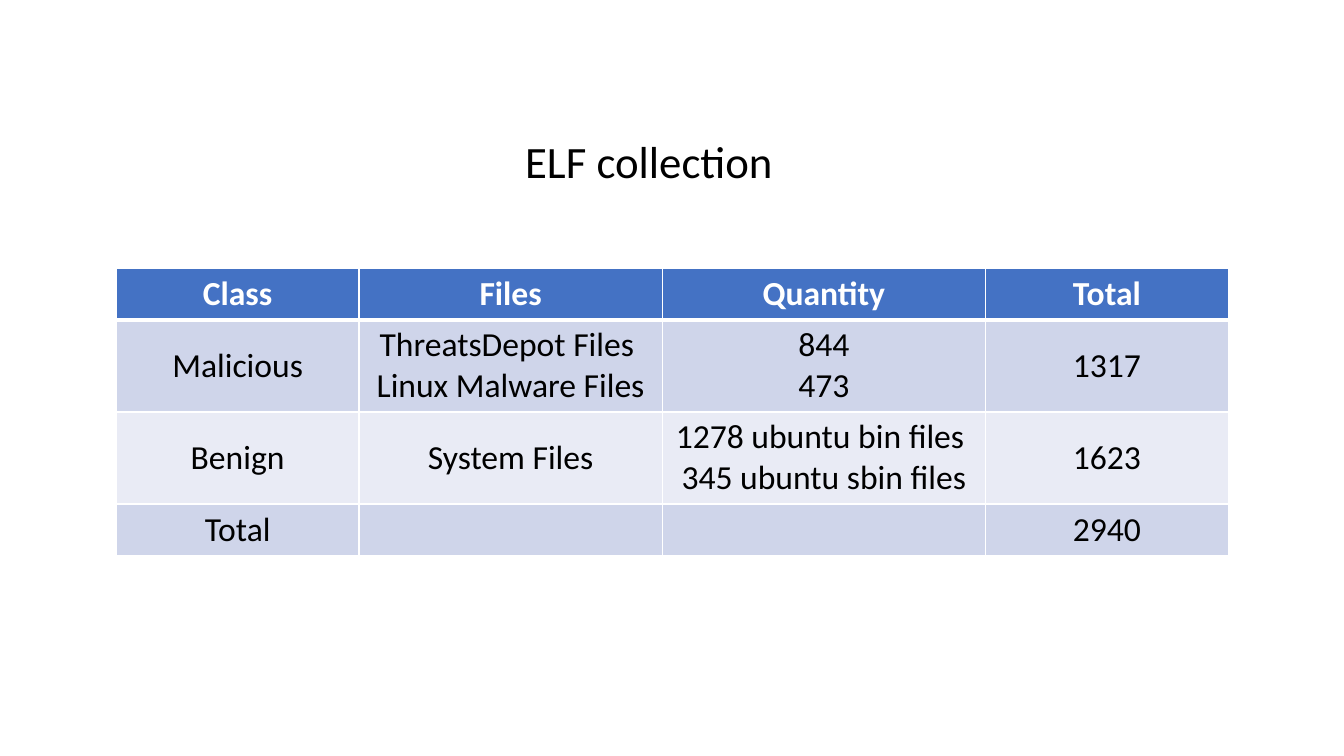
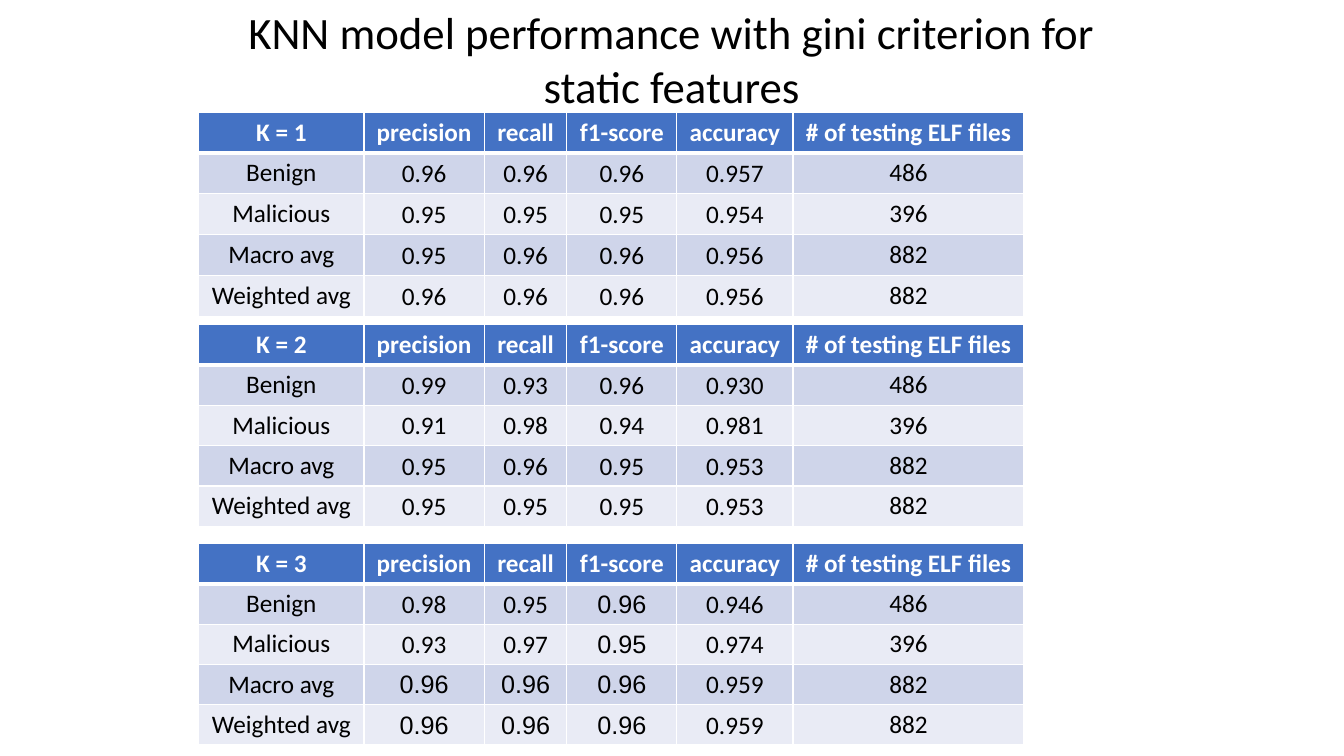
from lxml.etree import SubElement
from pptx import Presentation
from pptx.dml.color import RGBColor
from pptx.enum.text import MSO_ANCHOR, MSO_AUTO_SIZE, PP_ALIGN
from pptx.oxml.ns import qn
from pptx.util import Pt

HEADER_FILL = "4472C4"
BAND_FILLS = ("CFD5EA", "E9EBF5")
WHITE, BLACK = "FFFFFF", "000000"
FONT, SCORE_FONT = "Calibri", "Arial"
TITLE_SIZE = 32

COLLECTION_TITLE = "ELF collection"
COLLECTION = [
    ("Class", "Files", "Quantity", "Total"),
    ("Malicious", "ThreatsDepot Files \nLinux Malware Files", "844\n473", "1317"),
    ("Benign", "System Files", "1278 ubuntu bin files \n345 ubuntu sbin files", "1623"),
    ("Total", "", "", "2940"),
]
COLLECTION_WIDTHS = (173.5, 216.5, 231, 173.5)
COLLECTION_HEIGHTS = (36.5, 65.8, 65.8, 36.5)

KNN_TITLE = "KNN model performance with gini criterion for static features"
METRICS = ("precision", "recall", "f1-score", "accuracy", "# of testing ELF files")
CLASSES = (("Benign", "486"), ("Malicious", "396"),
           ("Macro avg", "882"), ("Weighted avg", "882"))
# Heading, top, row height and the four scores of each class
KNN_RUNS = [
    ("K = 1", 80, 29.2, [("0.96", "0.96", "0.96", "0.957"),
                         ("0.95", "0.95", "0.95", "0.954"),
                         ("0.95", "0.96", "0.96", "0.956"),
                         ("0.96", "0.96", "0.96", "0.956")]),
    ("K = 2", 232, 28.8, [("0.99", "0.93", "0.96", "0.930"),
                          ("0.91", "0.98", "0.94", "0.981"),
                          ("0.95", "0.96", "0.95", "0.953"),
                          ("0.95", "0.95", "0.95", "0.953")]),
    ("K = 3", 388.2, 28.8, [("0.98", "0.95", "0.96", "0.946"),
                            ("0.93", "0.97", "0.95", "0.974"),
                            ("0.96", "0.96", "0.96", "0.959"),
                            ("0.96", "0.96", "0.96", "0.959")]),
]
KNN_WIDTHS = (118, 86, 59, 78.5, 83, 165)
# (row, column) of the K = 3 scores set in the second font
K3_SCORE_FONT = {(1, 3), (2, 3)} | {(row, col) for row in (3, 4) for col in (1, 2, 3)}


def rgb(value):
    return RGBColor.from_string(value)


def add_text(paragraph, text, size, color=BLACK, font=FONT, bold=False):
    run = paragraph.add_run()
    run.text = text
    run.font.size = Pt(size)
    run.font.name = font
    run.font.bold = bold
    run.font.color.rgb = rgb(color)


def add_title(slide, text, left, top, width, height, wrap, align):
    frame = slide.shapes.add_textbox(Pt(left), Pt(top), Pt(width), Pt(height)).text_frame
    frame.word_wrap = wrap
    frame.auto_size = MSO_AUTO_SIZE.SHAPE_TO_FIT_TEXT
    frame.paragraphs[0].alignment = align
    add_text(frame.paragraphs[0], text, TITLE_SIZE)


def set_borders(cell, top, bottom):
    """Draw white borders; they must come before the fill in the cell properties."""
    props = cell._tc.get_or_add_tcPr()
    for index, (side, width) in enumerate((("L", 1), ("R", 1), ("T", top), ("B", bottom))):
        line = SubElement(props, qn("a:ln" + side), w=str(Pt(width)))
        SubElement(SubElement(line, qn("a:solidFill")), qn("a:srgbClr"), val=WHITE)
        props.insert(index, line)


def add_banded_table(slide, rows, left, top, widths, heights, size,
                     score_columns=(), score_font_cells=()):
    table = slide.shapes.add_table(len(rows), len(widths), Pt(left), Pt(top),
                                   Pt(sum(widths)), Pt(sum(heights))).table
    for column, width in zip(table.columns, widths):
        column.width = Pt(width)
    for r, (values, height) in enumerate(zip(rows, heights)):
        table.rows[r].height = Pt(height)
        header = r == 0
        for c, value in enumerate(values):
            cell = table.cell(r, c)
            cell.vertical_anchor = MSO_ANCHOR.MIDDLE
            cell.margin_top = cell.margin_bottom = Pt(3.4)
            if c in score_columns and not header:
                cell.margin_left = cell.margin_right = cell.margin_top = Pt(0.75)
                cell.margin_bottom = Pt(0)
            cell.fill.solid()
            cell.fill.fore_color.rgb = rgb(HEADER_FILL if header else BAND_FILLS[(r - 1) % 2])
            set_borders(cell, top=3 if r == 1 else 1, bottom=3 if header else 1)
            frame = cell.text_frame
            for i, text in enumerate(value.split("\n") if value else ()):
                paragraph = frame.add_paragraph() if i else frame.paragraphs[0]
                paragraph.alignment = PP_ALIGN.CENTER
                add_text(paragraph, text, size, WHITE if header else BLACK,
                         SCORE_FONT if (r, c) in score_font_cells else FONT, header)


def build_collection(slide):
    add_banded_table(slide, COLLECTION, 83, 192, COLLECTION_WIDTHS, COLLECTION_HEIGHTS, 24)
    add_title(slide, COLLECTION_TITLE, 368, 92, 201, 46, False, PP_ALIGN.LEFT)


def build_knn(slide):
    for heading, top, height, scores in KNN_RUNS:
        rows = [(heading, *METRICS)]
        rows += [(name, *values, files) for (name, files), values in zip(CLASSES, scores)]
        add_banded_table(slide, rows, 142, top, KNN_WIDTHS, [height] * len(rows), 18,
                         score_columns=range(1, 5),
                         score_font_cells=K3_SCORE_FONT if heading == "K = 3" else ())
    add_title(slide, KNN_TITLE, 168, 0, 623.5, 85, True, PP_ALIGN.CENTER)


def main():
    deck = Presentation()
    deck.slide_width, deck.slide_height = Pt(960), Pt(540)
    for build in (build_collection, build_knn):
        build(deck.slides.add_slide(deck.slide_layouts[6]))
    deck.save("out.pptx")


if __name__ == "__main__":
    main()
